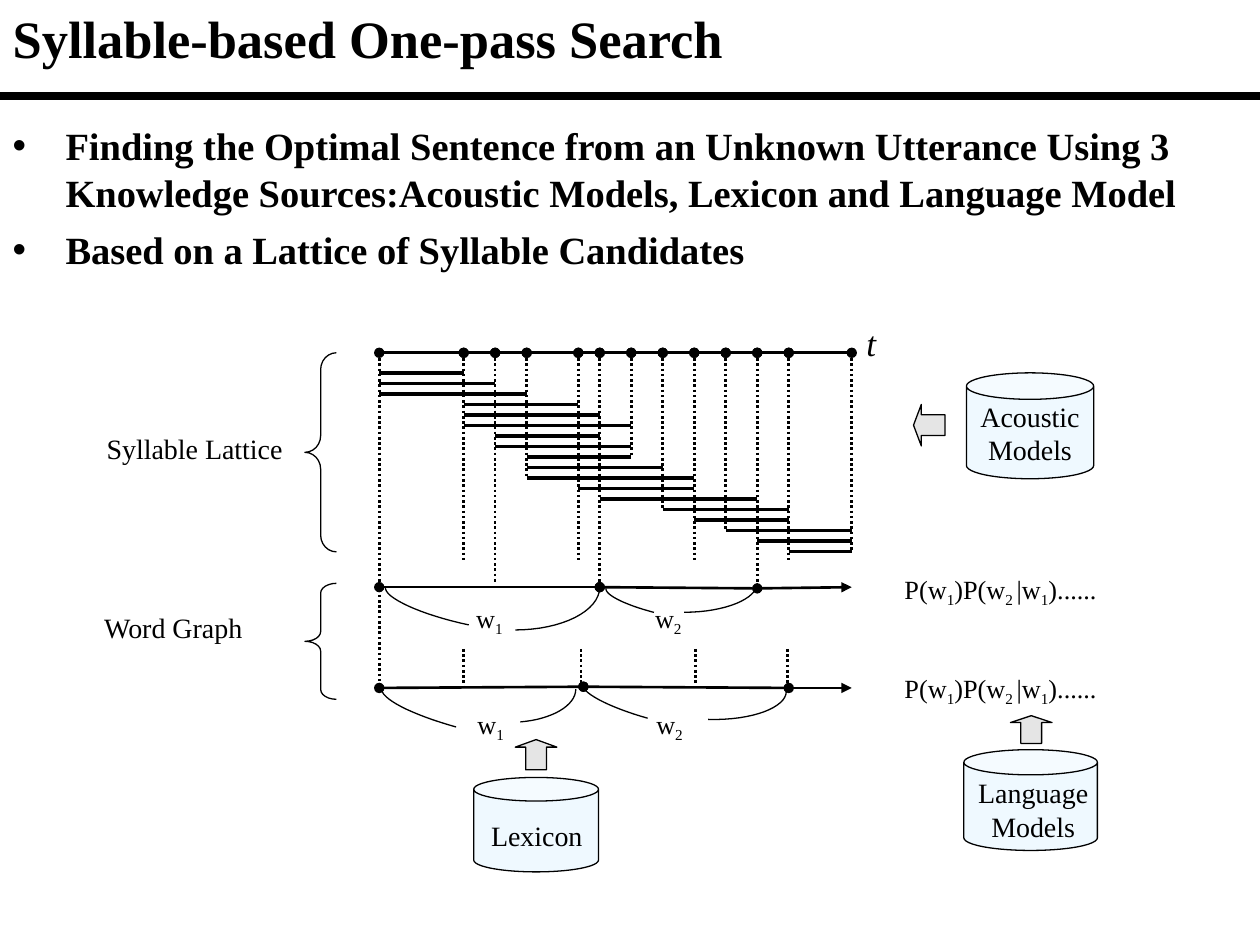
from pptx import Presentation
from pptx.dml.color import RGBColor
from pptx.enum import dml, shapes, text
from pptx.oxml import ns, xmlchemy
from pptx.util import Inches, Pt

FONT = "Times New Roman"
BLACK = RGBColor(0x00, 0x00, 0x00)
PALE_BLUE = RGBColor(0xCC, 0xEC, 0xFF)
GRAY = RGBColor(0xC0, 0xC0, 0xC0)
DOTTED = dml.MSO_LINE.ROUND_DOT
SHAPE = shapes.MSO_SHAPE

TITLE = "Syllable-based One-pass Search"
BULLETS = [
    "Finding the Optimal Sentence from an Unknown Utterance Using 3 "
    "Knowledge Sources:Acoustic Models, Lexicon and Language Model",
    "Based on a Lattice of Syllable Candidates",
]

# Time axis: each mark's x and the y where its dotted guide ends
AXIS_Y = 2.8
MARKS = [(3.01, 5.42), (3.68, 4.46), (3.93, 4.63), (4.18, 3.8), (4.59, 4.46),
         (4.76, 4.63), (5.01, 3.63), (5.26, 4.05), (5.51, 4.46), (5.76, 4.21),
         (6.01, 4.63), (6.26, 4.46), (6.76, 4.38)]
# Syllable candidates as (first mark, last mark), one per row
SYLLABLES = [(0, 1), (0, 2), (0, 3), (1, 4), (1, 5), (1, 6), (2, 5), (2, 6), (3, 6),
             (3, 7), (3, 8), (4, 8), (5, 10), (7, 11), (8, 11), (9, 12), (10, 12), (11, 12)]
ROW_TOP, ROW_STEP = 2.96, 1 / 12

# Word paths: node positions, the last one being the arrow's end
WORD_PATHS = [
    [(3.01, 4.66), (4.76, 4.66), (6.01, 4.67), (6.76, 4.66)],
    [(3.01, 5.46), (4.63, 5.45), (6.26, 5.46), (6.76, 5.46)],
]
SHORT_GUIDES = [(3.68, 5.45), (4.61, 5.45), (5.52, 5.43), (6.25, 5.43)]
# Word arcs as Bezier control points
WORD_ARCS = [
    [(3.72, 4.96), (3.34, 4.88), (3.04, 4.74), (3.06, 4.66)],
    [(3.62, 5.77), (3.26, 5.67), (3.01, 5.54), (3.03, 5.46)],
    [(5.19, 4.86), (4.96, 4.8), (4.8, 4.72), (4.81, 4.67)],
    [(5.14, 5.7), (4.82, 5.61), (4.6, 5.49), (4.62, 5.42)],
    [(4.09, 5), (4.46, 5), (4.76, 4.85), (4.76, 4.66)],
    [(5.43, 4.86), (5.76, 4.86), (6.01, 4.75), (6.01, 4.63)],
    [(4.13, 5.73), (4.38, 5.71), (4.57, 5.6), (4.57, 5.47)],
    [(5.62, 5.71), (5.98, 5.72), (6.24, 5.61), (6.24, 5.49)],
]

# (preset, box, adjustments, fill, opacity %)
FIGURES = [
    (SHAPE.LEFT_BRACE, (2.42, 2.8, 0.25, 1.58), (0.53, 0.5), None, None),
    (SHAPE.LEFT_BRACE, (2.42, 4.63, 0.25, 0.92), (0.31, 0.5), None, None),
    (SHAPE.CAN, (7.67, 2.96, 1.01, 0.84), (0.25,), PALE_BLUE, 30),
    (SHAPE.CAN, (7.65, 5.95, 1.06, 0.8), (0.25,), PALE_BLUE, 30),
    (SHAPE.CAN, (3.76, 6.17, 0.99, 0.75), (0.25,), PALE_BLUE, 30),
    (SHAPE.UP_ARROW, (4.09, 5.87, 0.33, 0.24), (0.5, 0.25), GRAY, 40),
    (SHAPE.UP_ARROW, (8.02, 5.68, 0.33, 0.22), (0.5, 0.25), GRAY, 40),
    (SHAPE.LEFT_ARROW, (7.25, 3.21, 0.25, 0.33), (0.5, 0.25), GRAY, 40),
]
LABELS = [
    ("Syllable Lattice", (0.67, 3.38, 1.75, 0.37)),
    ("Word Graph", (0.5, 4.8, 1.75, 0.37)),
    ("Acoustic Models", (7.67, 3.12, 1.01, 0.64)),
    ("Language Models", (7.63, 6.11, 1.14, 0.64)),
    ("Lexicon", (3.75, 6.45, 1.02, 0.37)),
]
# Runs alternate between normal and subscript
WORDS = ["w", "1", "\tw", "2"]
WORD_BOXES = [(3.68, 4.73, 2.08, 0.35), (3.69, 5.57, 2.08, 0.35)]
WORD_TAB = 1.42
PROBABILITY = ["P(w", "1", ")P(w", "2 ", "|w", "1", ")......"]
PROBABILITY_BOX = (7.08, 4.5, 1.92, 1.11)


def inches(values):
    return [Inches(v) for v in values]


def add_xml(parent, tag, **attrs):
    child = xmlchemy.OxmlElement(tag)
    for name, value in attrs.items():
        child.set(name, str(value))
    parent.append(child)
    return child


def style_run(r, size, bold=False, italic=False):
    r.font.name, r.font.size = FONT, Pt(size)
    r.font.bold, r.font.italic = bold, italic
    r.font.color.rgb = BLACK


def add_line(s, start, end, width=1.5, dash=None, head=None, tail=None):
    c = s.shapes.add_connector(shapes.MSO_CONNECTOR.STRAIGHT, *inches(start + end))
    c.line.color.rgb, c.line.width = BLACK, Pt(width)
    if dash:
        c.line.dash_style = dash
    ln = c.line._get_or_add_ln()
    for tag, kind in (("a:headEnd", head), ("a:tailEnd", tail)):
        if kind:
            add_xml(ln, tag, type=kind)
    add_xml(c._element.spPr, "a:effectLst")


def outline(sp):
    sp.shadow.inherit = False
    sp.line.color.rgb, sp.line.width = BLACK, Pt(0.75)


def add_figure(s, preset, box, adjustments, fill, opacity):
    sp = s.shapes.add_shape(preset, *inches(box))
    outline(sp)
    for i, value in enumerate(adjustments):
        sp.adjustments[i] = value
    if fill is None:
        sp.fill.background()
        return
    sp.fill.solid()
    sp.fill.fore_color.rgb = fill
    color = sp._element.spPr.find(ns.qn("a:solidFill"))[0]
    add_xml(color, "a:alpha", val=opacity * 1000)


def add_arc(s, controls, steps=16):
    """Draw a cubic Bezier curve as an open, unfilled outline."""
    points = []
    for t in (i / steps for i in range(steps + 1)):
        weights = ((1 - t) ** 3, 3 * t * (1 - t) ** 2, 3 * t * t * (1 - t), t ** 3)
        points.append(inches(sum(w * c[axis] for w, c in zip(weights, controls))
                             for axis in (0, 1)))
    builder = s.shapes.build_freeform(*points[0])
    builder.add_line_segments(points[1:], close=False)
    sp = builder.convert_to_shape()
    outline(sp)
    sp.fill.background()


def add_text_box(s, box):
    tf = s.shapes.add_textbox(*inches(box)).text_frame
    tf.word_wrap = True
    return tf


def add_label(s, label, box, size=16, italic=False):
    p = add_text_box(s, box).paragraphs[0]
    p.text, p.alignment = label, text.PP_ALIGN.CENTER
    style_run(p.runs[0], size, italic=italic)


def fill_subscripted(p, parts):
    for i, part in enumerate(parts):
        r = p.add_run()
        r.text = part
        style_run(r, 15)
        if i % 2:
            r.font._element.set("baseline", "-25000")


def place(sp, box):
    sp.left, sp.top, sp.width, sp.height = inches(box)
    tf = sp.text_frame
    tf.auto_size, tf.vertical_anchor = text.MSO_AUTO_SIZE.NONE, text.MSO_ANCHOR.TOP
    return tf


def add_headings(s):
    tf = place(s.shapes.title, (0, 0, 5.85, 0.6))
    tf.text, tf.word_wrap = TITLE, False
    tf.paragraphs[0].alignment = text.PP_ALIGN.LEFT
    style_run(tf.paragraphs[0].runs[0], 30, bold=True)

    tf = place(s.placeholders[1], (0, 0.91, 9.87, 1.31))
    tf.text = "\n".join(BULLETS)
    for p in tf.paragraphs:
        p.space_before, p.space_after, p.line_spacing = Pt(0), Pt(6), 1.02
        pPr = p._p.get_or_add_pPr()
        pPr.set("marL", str(Inches(0.42)))
        pPr.set("indent", str(-Inches(0.42)))
        add_xml(pPr, "a:buChar", char="•")
        style_run(p.runs[0], 22, bold=True)
    add_line(s, (0, 0.76), (10, 0.76), width=4.5)


def add_lattice(s):
    xs = [x for x, _ in MARKS]
    for left, right in zip(xs, xs[1:]):
        add_line(s, (left, AXIS_Y), (right, AXIS_Y), head="oval", tail="oval")
    for x, bottom in MARKS:
        add_line(s, (x, AXIS_Y), (x, bottom), dash=DOTTED)
    for row, (first, last) in enumerate(SYLLABLES):
        y = ROW_TOP + row * ROW_STEP
        add_line(s, (xs[first], y), (xs[last], y), width=1.8)
    add_label(s, "t", (6.58, 2.5, 0.67, 0.43), size=20, italic=True)


def add_word_graph(s):
    for *nodes, tip in WORD_PATHS:
        add_line(s, nodes[-1], tip, tail="triangle")
        for start, end in zip(nodes, nodes[1:]):
            add_line(s, start, end, head="oval", tail="oval")
    for x, bottom in SHORT_GUIDES:
        add_line(s, (x, 5.15), (x, bottom), dash=DOTTED)
    for controls in WORD_ARCS:
        add_arc(s, controls)
    for box in WORD_BOXES:
        p = add_text_box(s, box).paragraphs[0]
        tabs = add_xml(p._p.get_or_add_pPr(), "a:tabLst")
        add_xml(tabs, "a:tab", pos=Inches(WORD_TAB), algn="l")
        fill_subscripted(p, WORDS)
    tf = add_text_box(s, PROBABILITY_BOX)
    fill_subscripted(tf.paragraphs[0], PROBABILITY)
    p = tf.add_paragraph()
    p.space_before = Pt(36)
    fill_subscripted(p, PROBABILITY)


def main():
    prs = Presentation()
    prs.slide_width, prs.slide_height = Inches(10), Inches(7.5)
    s = prs.slides.add_slide(prs.slide_layouts[1])
    add_headings(s)
    add_lattice(s)
    add_word_graph(s)
    for figure in FIGURES:
        add_figure(s, *figure)
    for label, box in LABELS:
        add_label(s, label, box)
    prs.save("out.pptx")


if __name__ == "__main__":
    main()
